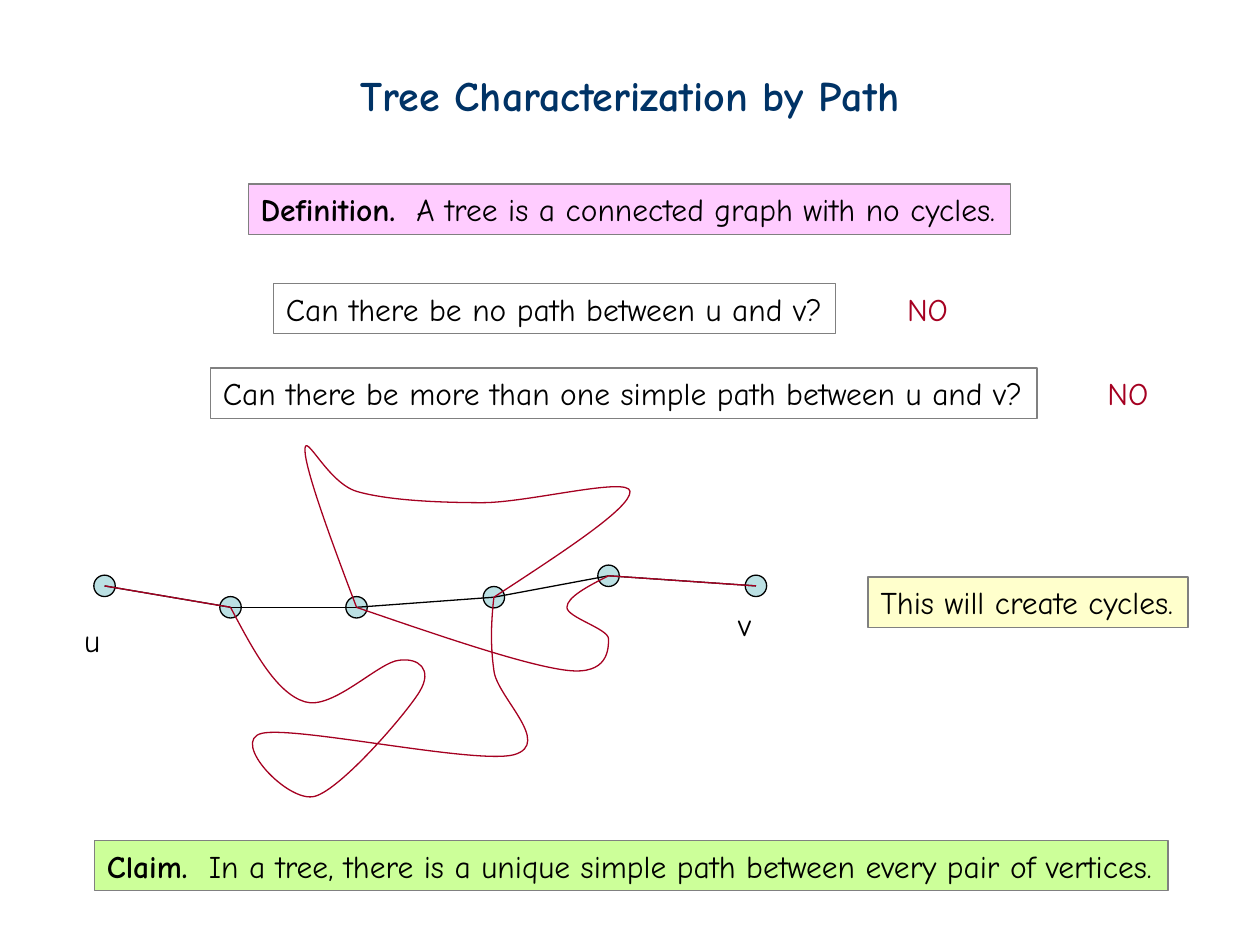
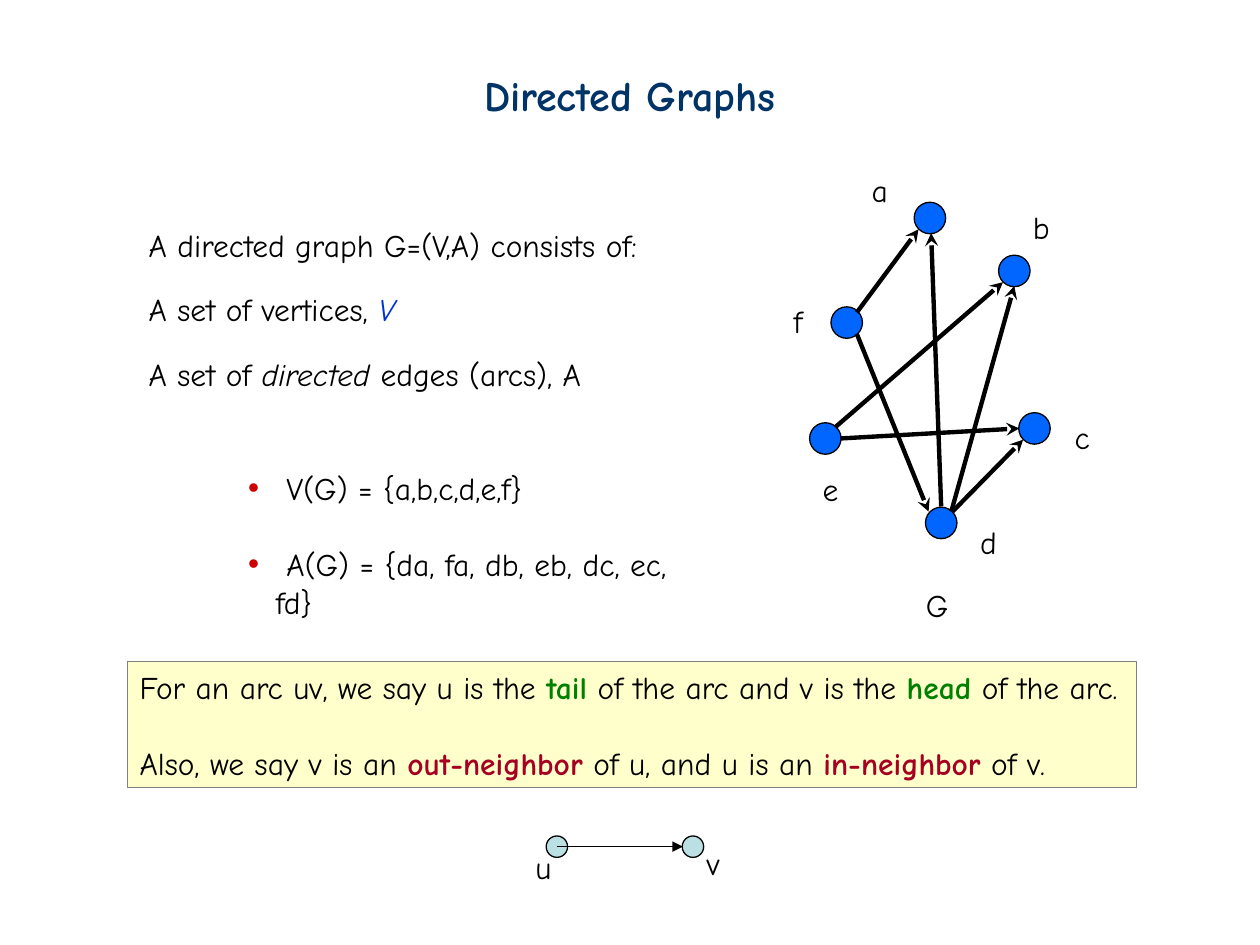
from lxml import etree
from pptx import Presentation
from pptx.dml.color import RGBColor
from pptx.enum.shapes import MSO_CONNECTOR, MSO_SHAPE
from pptx.enum.text import MSO_ANCHOR, MSO_AUTO_SIZE, PP_ALIGN
from pptx.oxml.ns import qn
from pptx.util import Inches, Pt

OVAL, RECT = MSO_SHAPE.OVAL, MSO_SHAPE.RECTANGLE
LINE = MSO_CONNECTOR.STRAIGHT
TOP, FIXED = MSO_ANCHOR.TOP, MSO_AUTO_SIZE.NONE
LEFT, MID = PP_ALIGN.LEFT, PP_ALIGN.CENTER

HEX = {
    "black": "000000", "grey": "808080", "navy": "003366", "blue": "0033CC",
    "red": "A50021", "green": "008000", "bullet": "CC0000", "pink": "FFCCFF",
    "cream": "FFFFCC", "lime": "CCFF99", "pale": "BBE0E3", "node": "0066FF",
}
INK = {name: RGBColor.from_string(code) for name, code in HEX.items()}

# Each style: ink, then font attributes
STYLE = {
    "plain": ("black", {}),
    "bold": ("black", {"bold": True}),
    "slant": ("black", {"italic": True}),
    "title": ("navy", {"bold": True, "size": Pt(24)}),
    "red": ("red", {}),
    "var": ("blue", {"italic": True}),
    "arc": ("green", {"bold": True}),
    "near": ("red", {"bold": True}),
}


def write(shape, paras, wrap=False, align=LEFT, gap=0, space=1.0):
    """Fill a shape with paragraphs, each a list of (text, style) runs."""
    frame = shape.text_frame
    form = {
        "auto_size": FIXED, "word_wrap": wrap, "vertical_anchor": TOP,
        "margin_left": Inches(0.1), "margin_right": Inches(0.1),
        "margin_top": Inches(0.05), "margin_bottom": Inches(0.05),
    }
    for key, value in form.items():
        setattr(frame, key, value)
    for i, runs in enumerate(paras):
        para = frame.add_paragraph() if i else frame.paragraphs[0]
        para.alignment = align
        para.space_before = Pt(gap if i else 0)
        para.line_spacing = space if i else 1.0
        for text, style in runs:
            run = para.add_run()
            run.text = text
            ink, extra = STYLE[style]
            base = {"name": "Comic Neue", "size": Pt(18), "bold": False, "italic": False}
            for key, value in {**base, **extra}.items():
                setattr(run.font, key, value)
            run.font.color.rgb = INK[ink]


def place(shape, *spot):
    for key, value in zip(("left", "top", "width", "height"), spot):
        setattr(shape, key, Inches(value))


prs = Presentation()
prs.slide_width, prs.slide_height = Inches(10), Inches(7.5)
tree = prs.slides.add_slide(prs.slide_layouts[5])
arcs = prs.slides.add_slide(prs.slide_layouts[3])

for page, title in ((tree, "Tree Characterization by Path"), (arcs, "Directed Graphs")):
    place(page.shapes.title, 0.5, 0.5, 9, 0.5)
    write(page.shapes.title, [[(title, "title")]], align=MID)

# Lists on the second slide
intro, sets = arcs.placeholders[1], arcs.placeholders[2]
place(intro, 1.08, 1.74, 4.6, 1.59)
place(sets, 1.87, 3.67, 3.76, 1.0)
write(intro, [
    [("A directed graph G=(V,A) consists of:", "plain")],
    [("A set of vertices, ", "plain"), ("V", "var")],
    [("A set of", "plain"), (" directed", "slant"), (" edges (arcs), A", "plain")],
], wrap=True, gap=4.5, space=1.5)
write(sets, [
    [(" V(G) = {a,b,c,d,e,f}", "plain")],
    [(" A(G) = {da, fa, db, eb, dc, ec, fd}", "plain")],
], wrap=True, gap=22)
for body, hang, dot in ((intro, 0.38, False), (sets, 0.22, True)):
    for para in body.text_frame.paragraphs:
        props = para._p.get_or_add_pPr()
        props.set("marL", str(Inches(hang)))
        props.set("indent", str(-Inches(hang)))
        if dot:
            tint = etree.SubElement(props, qn("a:buClr"))
            etree.SubElement(tint, qn("a:srgbClr")).set("val", HEX["bullet"])
            etree.SubElement(props, qn("a:buChar")).set("char", "•")
        else:
            etree.SubElement(props, qn("a:buNone"))

# Vertices, given by their centres
chain = [(0.83, 4.65), (1.83, 4.82), (2.83, 4.82), (3.92, 4.74), (4.83, 4.57), (6, 4.65)]
ring = [(7.38, 1.73), (8.05, 2.15), (8.21, 3.4), (7.47, 4.15), (6.55, 3.48), (6.72, 2.56)]
pair = [(4.42, 6.72), (5.5, 6.72)]
for page, size, ink, spots in (
    (tree, 0.17, "pale", chain), (arcs, 0.25, "node", ring), (arcs, 0.17, "pale", pair),
):
    for x, y in spots:
        dot = page.shapes.add_shape(OVAL, 0, 0, 0, 0)
        place(dot, x - size / 2, y - size / 2, size, size)
        dot.shadow.inherit = False
        dot.fill.solid()
        dot.fill.fore_color.rgb = INK[ink]
        dot.line.color.rgb = INK["black"]
        dot.line.width = Pt(0.75)

# Edges
links = list(zip(chain, chain[1:]))
darts = [
    ((6.63, 3.39), (7.96, 2.24)), ((6.67, 3.48), (8.09, 3.4)),
    ((6.8, 2.48), (7.29, 1.82)), ((7.55, 4.06), (8.05, 2.27)),
    ((7.56, 4.06), (8.12, 3.49)), ((7.47, 4.02), (7.39, 1.85)),
    ((6.8, 2.65), (7.37, 4.06)),
]
for page, ink, width, tip, lines in (
    (tree, "black", 0.75, None, links),
    (tree, "red", 0.75, None, [links[0], links[-1]]),
    (arcs, "black", 2.5, "stealth", darts),
    (arcs, "black", 0.75, "triangle", [(pair[0], (5.42, 6.72))]),
):
    for start, end in lines:
        edge = page.shapes.add_connector(LINE, *map(Inches, start + end))
        edge.line.color.rgb = INK[ink]
        edge.line.width = Pt(width)
        props = edge.element.spPr
        if tip:
            etree.SubElement(props.find(qn("a:ln")), qn("a:tailEnd")).set("type", tip)
        etree.SubElement(props, qn("a:effectLst"))

# Detours: a start, then three points for each Bezier segment
curves = [
    [chain[1], (2.01, 5.16), (2.19, 5.5), (2.42, 5.57),
     (2.64, 5.64), (3.01, 5.25), (3.17, 5.24), (3.32, 5.22), (3.44, 5.31), (3.33, 5.49),
     (3.22, 5.67), (2.71, 6.26), (2.5, 6.32), (2.29, 6.38), (1.82, 5.88), (2.08, 5.82),
     (2.35, 5.76), (3.78, 6.07), (4.08, 5.99), (4.39, 5.9), (3.94, 5.53), (3.92, 5.32),
     (3.89, 5.11), (3.9, 4.92), chain[3]],
    [chain[3], (4.47, 4.38), (5.01, 4.03), (5, 3.9),
     (4.99, 3.78), (4.19, 3.99), (3.83, 3.99), (3.47, 3.99), (3.07, 3.97), (2.83, 3.9),
     (2.6, 3.83), (2.42, 3.42), (2.42, 3.57), (2.42, 3.72), (2.62, 4.27), chain[2]],
    [chain[2], (3.5, 5.05), (4.17, 5.28), (4.5, 5.32),
     (4.83, 5.36), (4.83, 5.15), (4.83, 5.07), (4.83, 4.99), (4.5, 4.9), (4.5, 4.82),
     (4.5, 4.74), (4.67, 4.65), chain[4]],
]
for curve in curves:
    start, *rest = [(Inches(x), Inches(y)) for x, y in curve]
    pen = tree.shapes.build_freeform(*start)
    pen.add_line_segments(rest, close=False)
    loop = pen.convert_to_shape()
    loop.shadow.inherit = False
    loop.fill.background()
    loop.line.color.rgb = INK["red"]
    loop.line.width = Pt(0.75)
    track = next(loop.element.iter(qn("a:path")))
    steps = track.findall(qn("a:lnTo"))
    for i in range(0, len(steps), 3):
        bend = etree.SubElement(track, qn("a:cubicBezTo"))
        for step in steps[i:i + 3]:
            bend.append(step[0])
            track.remove(step)

# Framed statements
for page, fill, spot, paras in (
    (tree, "pink", (1.97, 1.46, 6.05, 0.4), [[
        ("Definition.", "bold"), ("  A tree is a connected graph with no cycles.", "plain")]]),
    (tree, None, (2.17, 2.25, 4.46, 0.4), [[("Can there be no path between u and v?", "plain")]]),
    (tree, None, (1.67, 2.92, 6.56, 0.4), [[
        ("Can there be more than one simple path between u and v?", "plain")]]),
    (tree, "cream", (6.89, 4.58, 2.54, 0.4), [[("This will create cycles.", "plain")]]),
    (tree, "lime", (0.75, 6.67, 8.52, 0.4), [[
        ("Claim.", "bold"),
        ("  In a tree, there is a unique simple path between every pair of vertices.", "plain")]]),
    (arcs, "cream", (1.01, 5.25, 8.01, 1.0), [
        [("For an arc uv, we say u is the ", "plain"), ("tail", "arc"),
         (" of the arc and v is the ", "plain"), ("head", "arc"), (" of the arc.", "plain")],
        [("Also, we say v is an ", "plain"), ("out-neighbor", "near"),
         (" of u, and u is an ", "plain"), ("in-neighbor", "near"), (" of v.", "plain")]]),
):
    box = page.shapes.add_shape(RECT, *map(Inches, spot))
    box.shadow.inherit = False
    if fill:
        box.fill.solid()
        box.fill.fore_color.rgb = INK[fill]
    else:
        box.fill.background()
    box.line.color.rgb = INK["grey"]
    box.line.width = Pt(0.75)
    write(box, paras, gap=22)

# Loose labels
for page, text, style, x, y, width in (
    (tree, "NO", "red", 7.1, 2.25, 0.52), (tree, "NO", "red", 8.69, 2.92, 0.52),
    (tree, "u", "plain", 0.57, 4.88, 0.33), (tree, "v", "plain", 5.76, 4.75, 0.3),
    (arcs, "a", "plain", 6.82, 1.31, 0.33), (arcs, "b", "plain", 8.1, 1.6, 0.33),
    (arcs, "c", "plain", 8.43, 3.27, 0.32), (arcs, "d", "plain", 7.68, 4.1, 0.33),
    (arcs, "e", "plain", 6.43, 3.68, 0.32), (arcs, "f", "plain", 6.2, 2.35, 0.27),
    (arcs, "G", "plain", 7.25, 4.6, 0.38),
    (arcs, "u", "plain", 4.15, 6.68, 0.33), (arcs, "v", "plain", 5.51, 6.65, 0.3),
):
    label = page.shapes.add_textbox(*map(Inches, (x, y, width, 0.4)))
    write(label, [[(text, style)]])

prs.save("out.pptx")
